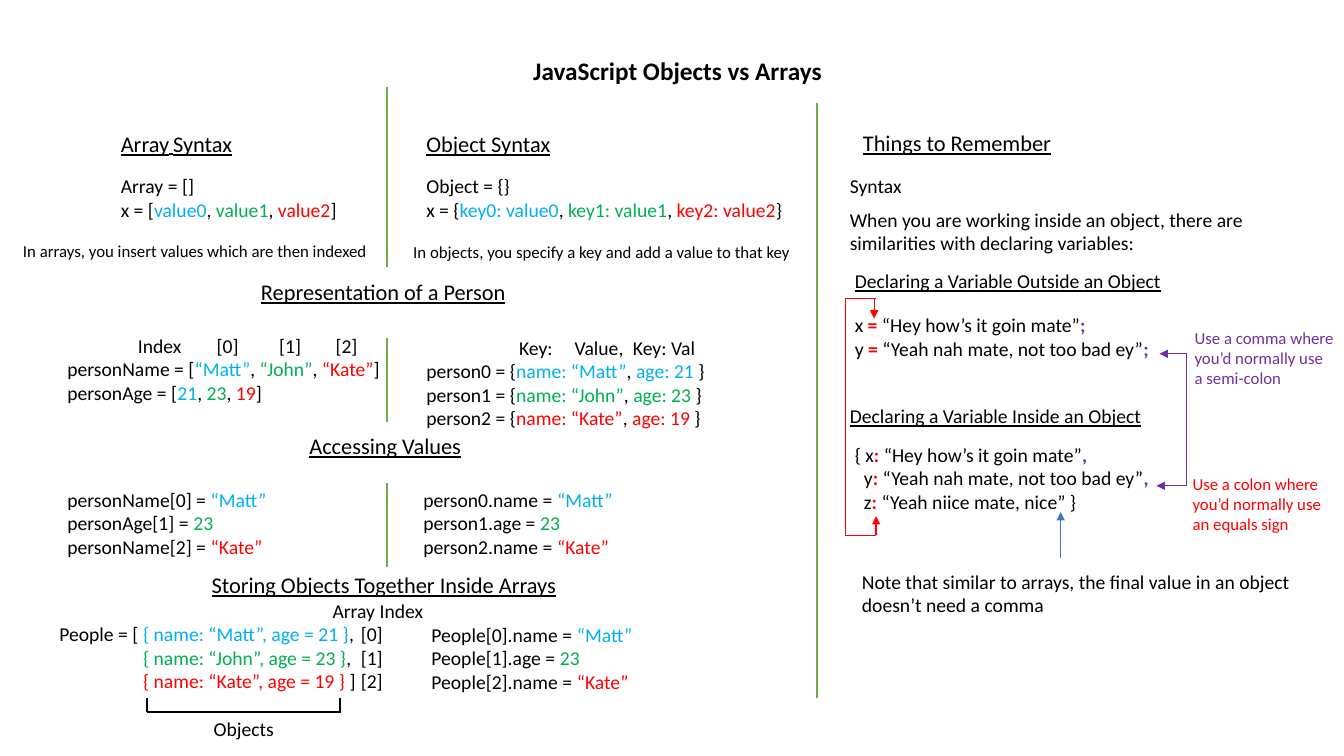
"""Build the JavaScript objects versus arrays comparison slide."""
from dataclasses import dataclass, field

from lxml import etree
from pptx import Presentation
from pptx.dml.color import RGBColor
from pptx.enum.shapes import MSO_CONNECTOR
from pptx.enum.text import MSO_AUTO_SIZE
from pptx.oxml.ns import qn
from pptx.slide import Slide
from pptx.util import Inches, Pt

STRAIGHT = MSO_CONNECTOR.STRAIGHT
GROW = MSO_AUTO_SIZE.SHAPE_TO_FIT_TEXT
BLACK = RGBColor(0x00, 0x00, 0x00)
BLUE = RGBColor(0x00, 0xB0, 0xF0)
GREEN = RGBColor(0x00, 0xB0, 0x50)
RED = RGBColor(0xFF, 0x00, 0x00)
PURPLE = RGBColor(0x70, 0x30, 0xA0)
DIVIDER_GREEN = RGBColor(0x70, 0xAD, 0x47)
NOTE_BLUE = RGBColor(0x44, 0x72, 0xC4)


@dataclass
class Span:
    """A stretch of text with its own colour and font format."""
    text: str
    color: RGBColor = BLACK
    formats: dict = field(default_factory=dict)


@dataclass
class Box:
    """A text box whose lines are lists of spans."""
    left: float
    top: float
    width: float
    height: float
    lines: list[list[Span]]
    formats: dict = field(default_factory=dict)
    tabs: tuple[float, ...] = ()


@dataclass
class Line:
    """A straight line, with an arrowhead at its end if wanted."""
    start: tuple[float, float]
    end: tuple[float, float]
    color: RGBColor
    width: float = 0.5
    arrow: bool = False


def plain(*texts: str, color: RGBColor = BLACK) -> list[list[Span]]:
    """Return one single-span line for each text."""
    return [[Span(text, color)] for text in texts]


def listed(opening: str, values: list[str], closing: str) -> list[Span]:
    """Return a line of coloured values separated by commas."""
    spans = [Span(opening)]
    for index, (value, color) in enumerate(zip(values, COLORS)):
        spans += [Span(", ")] if index else []
        spans.append(Span(value, color))
    return spans + [Span(closing)]


def accesses(*names: str) -> list[list[Span]]:
    """Return lines that show the value read from each name."""
    return [[Span(f"{name} = "), Span(value, color)]
            for name, value, color in zip(names, ACCESSED, COLORS)]


def declaration(name: str, sign: str, value: str, ending: str = "") -> list[Span]:
    """Return a declaration with its sign and ending emphasised."""
    return [Span(name), Span(sign, RED, BOLD), Span(f" {value}"),
            Span(ending, PURPLE, BOLD)]


def add_box(slide: Slide, box: Box) -> None:
    """Draw a text box."""
    shape = slide.shapes.add_textbox(*map(Inches, (box.left, box.top, box.width, box.height)))
    frame = shape.text_frame
    frame.word_wrap = False
    frame.auto_size = GROW
    for index, line in enumerate(box.lines):
        para = frame.add_paragraph() if index else frame.paragraphs[0]
        if box.tabs:
            tab_list = etree.SubElement(para._p.get_or_add_pPr(), qn("a:tabLst"))
            for tab in box.tabs:
                etree.SubElement(tab_list, qn("a:tab"), pos=str(Inches(tab)), algn="l")
        for span in line:
            if not span.text:
                continue
            run = para.add_run()
            run.text = span.text
            run.font.color.rgb = span.color
            for name, value in (BASE | box.formats | span.formats).items():
                setattr(run.font, name, value)


def add_line(slide: Slide, line: Line) -> None:
    """Draw a line or an arrow."""
    connector = slide.shapes.add_connector(STRAIGHT, *map(Inches, line.start + line.end))
    connector.line.color.rgb = line.color
    connector.line.width = Pt(line.width)
    properties = connector.element.spPr
    if line.arrow:
        etree.SubElement(properties.find(qn("a:ln")), qn("a:tailEnd"), type="triangle")
    etree.SubElement(properties, qn("a:effectLst"))


BASE = {"name": "Calibri", "size": Pt(14)}
BOLD = {"bold": True}
TITLE = {"size": Pt(18), "bold": True}
SUBHEADING = {"underline": True}
HEADING = {"size": Pt(16), "underline": True}
SMALL = {"size": Pt(12)}

COLORS = [BLUE, GREEN, RED]
NAMES = ["“Matt”", "“John”", "“Kate”"]
AGES = ["21", "23", "19"]
ACCESSED = [NAMES[0], AGES[1], NAMES[2]]
PEOPLE = list(zip(NAMES, AGES, COLORS))

person_arrays = plain("\tIndex\t[0]\t[1]\t[2]") + [
    listed("personName = [", NAMES, "]"), listed("personAge = [", AGES, "]")]
person_objects = plain("\tKey:\tValue,\tKey: Val") + [
    [Span(f"person{index} = {{"), Span(f"name: {name}", color), Span(", "),
     Span(f"age: {age}", color), Span(" }")]
    for index, (name, age, color) in enumerate(PEOPLE)]
stored_people = [
    [Span(opening), Span(f"{{ name: {name}, age = {age} }}", color), Span(closing)]
    for opening, (name, age, color), closing
    in zip(["People = [ ", "\t", "\t"], PEOPLE, [",", ",", " ]"])]
outside = [declaration("x ", "=", "“Hey how’s it goin mate”", ";"),
           declaration("y ", "=", "“Yeah nah mate, not too bad ey”", ";")]
inside = [declaration("{ x", ":", "“Hey how’s it goin mate”", ","),
          declaration("\ty", ":", "“Yeah nah mate, not too bad ey”", ","),
          declaration("\tz", ":", "“Yeah niice mate, nice” }")]

BOXES = [
    Box(5.19, 0.5, 3.09, 0.4, plain("JavaScript Objects vs Arrays"), TITLE),
    Box(1.1, 1.24, 1.32, 0.37,
        [[Span("Array"), Span(" ", formats=SMALL), Span("Syntax")]], HEADING),
    Box(4.13, 1.24, 1.45, 0.37, plain("Object Syntax"), HEADING),
    Box(8.46, 1.23, 2.09, 0.37, plain("Things to Remember"), HEADING),
    Box(2.49, 2.71, 2.7, 0.37, plain("Representation of a Person"), HEADING),
    Box(2.97, 4.24, 1.72, 0.37, plain("Accessing Values"), HEADING),
    Box(2, 5.62, 3.67, 0.37, plain("Storing Objects Together Inside Arrays"), HEADING),
    Box(1.1, 1.68, 2.36, 0.57, plain("Array = []")
        + [listed("x = [", ["value0", "value1", "value2"], "]")]),
    Box(4.13, 1.68, 3.76, 0.57, plain("Object = {}")
        + [listed("x = {", ["key0: value0", "key1: value1", "key2: value2"], "}")]),
    Box(0.13, 2.34, 3.64, 0.3,
        plain("In arrays, you insert values which are then indexed"), SMALL),
    Box(4, 2.35, 3.98, 0.3,
        plain("In objects, you specify a key and add a value to that key"), SMALL),
    Box(0.57, 3.26, 3.34, 0.81, person_arrays, tabs=(0.7, 1.48, 2.1, 2.66)),
    Box(4.13, 3.28, 2.97, 1.04, person_objects, tabs=(0.92, 1.47, 2.05)),
    Box(0.57, 4.79, 2.2, 0.81, accesses("personName[0]", "personAge[1]", "personName[2]")),
    Box(4.1, 4.79, 2.1, 0.81, accesses("person0.name", "person1.age", "person2.name")),
    Box(0.49, 6.12, 3.15, 0.81, stored_people, tabs=(0.83,)),
    Box(4.18, 6.13, 2.22, 0.81,
        accesses("People[0].name", "People[1].age", "People[2].name")),
    Box(3.48, 6.12, 0.42, 0.81, plain("[0]", "[1]", "[2]")),
    Box(3.2, 5.89, 1.11, 0.34, plain("Array Index")),
    Box(2.02, 7.06, 0.81, 0.34, plain("Objects")),
    Box(8.33, 1.68, 0.72, 0.34, plain("Syntax")),
    Box(8.33, 2.01, 4.22, 0.57, plain("When you are working inside an object, there are",
                                      "similarities with declaring variables:")),
    Box(8.38, 2.62, 3.27, 0.34, plain("Declaring a Variable Outside an Object"), SUBHEADING),
    Box(8.38, 3.06, 3.14, 0.57, outside),
    Box(8.33, 3.96, 3.12, 0.34, plain("Declaring a Variable Inside an Object"), SUBHEADING),
    Box(8.38, 4.34, 3.14, 0.81, inside, tabs=(0.09,)),
    Box(8.45, 5.6, 4.49, 0.57, plain("Note that similar to arrays, the final value in an object",
                                     "doesn’t need a comma")),
    Box(11.75, 3.2, 1.64, 0.71, plain("Use a comma where ", "you’d normally use ",
                                      "a semi-colon", color=PURPLE), SMALL),
    Box(11.73, 4.65, 1.56, 0.71, plain("Use a colon where ", "you’d normally use ",
                                       "an equals sign", color=RED), SMALL),
]
DIVIDERS = [(3.84, 0.86, 2.65), (3.84, 3.35, 4.19), (3.84, 4.79, 5.63), (8.1, 1.02, 6.92)]
LINES = [Line((x, top), (x, bottom), DIVIDER_GREEN, 1.5) for x, top, bottom in DIVIDERS] + [
    Line((8.69, 5.31), (8.69, 5.12), RED, 1, arrow=True),
    Line((8.69, 5.31), (8.38, 5.31), RED),
    Line((8.38, 5.31), (8.38, 2.96), RED),
    Line((8.38, 2.96), (8.69, 2.96), RED),
    Line((8.67, 2.96), (8.67, 3.16), RED, arrow=True),
    Line((11.77, 4.82), (11.47, 4.82), PURPLE, arrow=True),
    Line((11.77, 4.82), (11.77, 3.51), PURPLE),
    Line((11.77, 3.51), (11.5, 3.51), PURPLE, arrow=True),
    Line((10.52, 5.54), (10.52, 5.08), NOTE_BLUE, arrow=True),
    Line((1.46, 6.92), (1.46, 7.06), BLACK, 1.5),
    Line((1.46, 7.06), (3.38, 7.06), BLACK, 1.5),
    Line((3.37, 6.92), (3.37, 7.06), BLACK, 1.5),
]

deck = Presentation()
deck.slide_width, deck.slide_height = Inches(13.33), Inches(7.5)
page = deck.slides.add_slide(deck.slide_layouts[6])
for text_box in BOXES:
    add_box(page, text_box)
for rule in LINES:
    add_line(page, rule)
deck.save("out.pptx")
